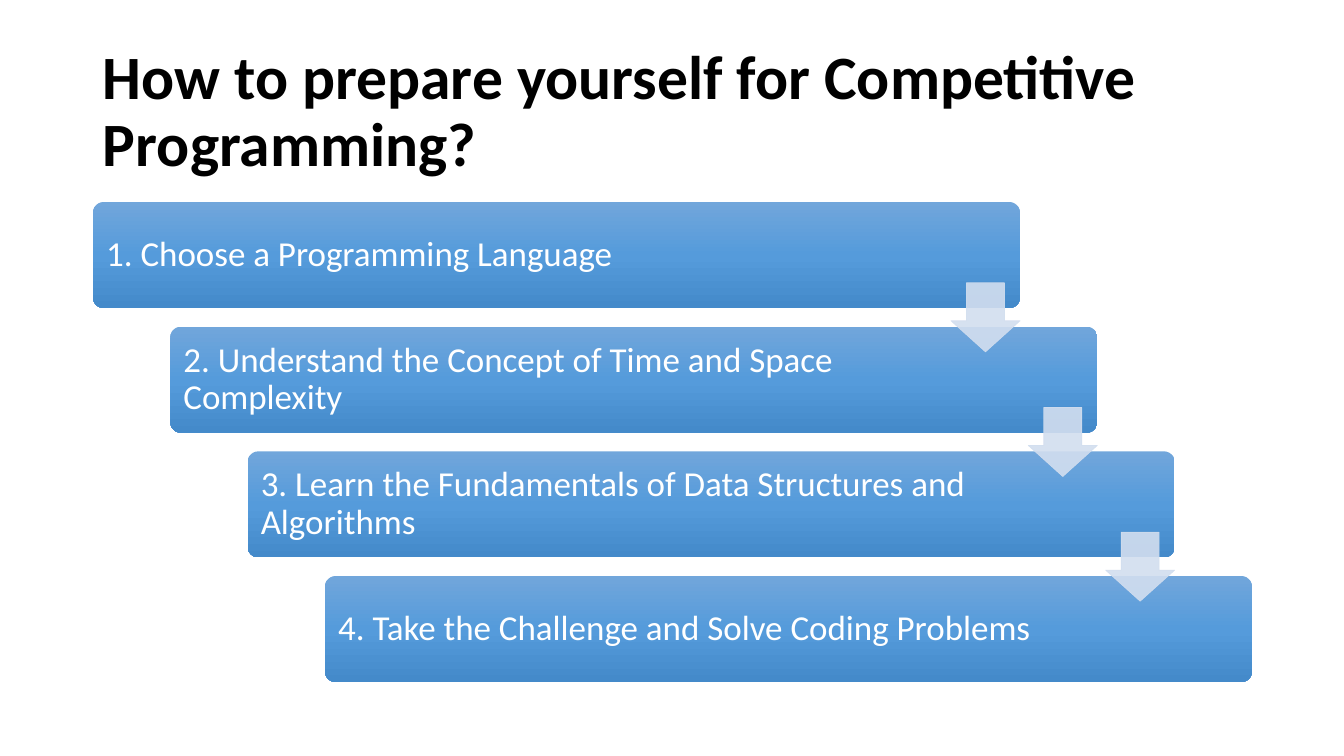
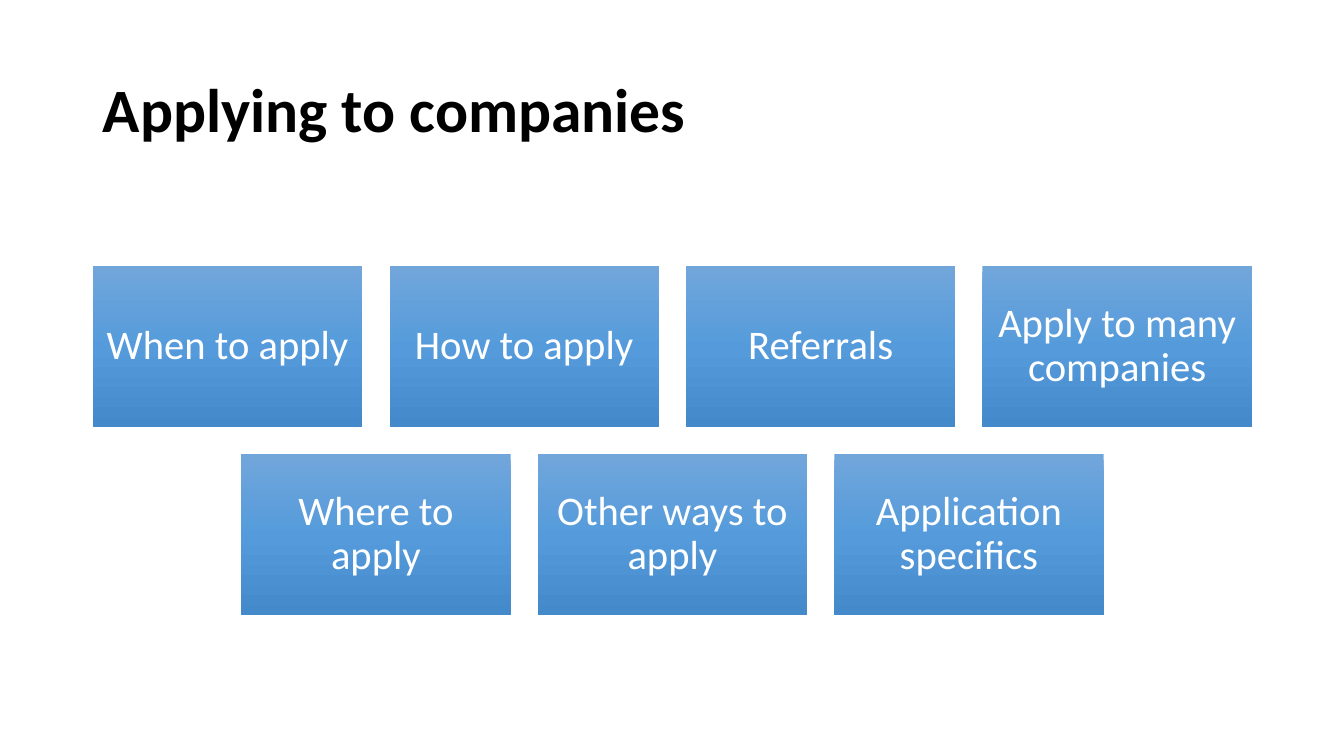
from copy import deepcopy

from lxml.etree import SubElement
from pptx import Presentation
from pptx.dml.color import RGBColor
from pptx.enum.shapes import MSO_SHAPE as Shape
from pptx.enum.text import MSO_ANCHOR as Anchor, MSO_AUTO_SIZE as AutoSize, PP_ALIGN as Align
from pptx.oxml.ns import qn
from pptx.util import Pt

# Content
STEPS_TITLE = "How to prepare yourself for Competitive Programming?"
STEPS = [
    "1. Choose a Programming Language",
    "2. Understand the Concept of Time and Space Complexity",
    "3. Learn the Fundamentals of Data Structures and Algorithms",
    "4. Take the Challenge and Solve Coding Problems",
]
TOPICS_TITLE = "Applying to companies"
TOPIC_ROWS = [
    ["When to apply", "How to apply", "Referrals", "Apply to many companies"],
    ["Where to apply", "Other ways to apply", "Application specifics"],
]

# Shared look, lengths in px
SLIDE_WIDTH, SLIDE_HEIGHT = 1344, 756
EMU_PER_PX = 12192000 / SLIDE_WIDTH
LEFT, WIDTH = 93, 1159
TITLE_BOX = (LEFT, 40, WIDTH, 146)
FONT = "Calibri"
BLACK, WHITE, PALE_BLUE = "000000", "FFFFFF", "D2DEEF"
BLUE_GRADIENT = [(0, "71A6DB"), (0.5, "559BDB"), (1, "448ACA")]


def px(length):
    return round(length * EMU_PER_PX)


def color(hex_string):
    return RGBColor.from_string(hex_string)


def write(shape, text, size, font_color=WHITE, bold=False, align=Align.LEFT, insets=(10, 5, 10, 5)):
    """Put formatted text in a shape; insets are left, top, right, bottom."""
    frame = shape.text_frame
    frame.word_wrap = True
    frame.auto_size = AutoSize.NONE
    frame.vertical_anchor = Anchor.MIDDLE
    frame.margin_left, frame.margin_top, frame.margin_right, frame.margin_bottom = map(px, insets)
    paragraph = frame.paragraphs[0]
    paragraph.alignment = align
    paragraph.line_spacing = 0.9
    run = paragraph.add_run()
    run.text = text
    font = run.font
    font.name, font.size, font.bold = FONT, Pt(size), bold
    font.color.rgb = color(font_color)


def add_titled_slide(presentation, title):
    slide = presentation.slides.add_slide(presentation.slide_layouts[5])
    shape = slide.shapes.title
    shape.left, shape.top, shape.width, shape.height = map(px, TITLE_BOX)
    write(shape, title, 44, font_color=BLACK, bold=True)
    return slide


def add_shape(slide, kind, box, adjustments=()):
    shape = slide.shapes.add_shape(kind, *map(px, box))
    shape.shadow.inherit = False
    for index, value in enumerate(adjustments):
        shape.adjustments[index] = value
    return shape


def add_blue_box(slide, kind, box, adjustments=()):
    shape = add_shape(slide, kind, box, adjustments)
    shape.line.fill.background()
    fill = shape.fill
    fill.gradient()
    fill.gradient_angle = 270
    # The default gradient has two stops; add a third
    stop_list = shape._element.spPr.find(".//" + qn("a:gsLst"))
    stop_list.append(deepcopy(stop_list[0]))
    for stop, (position, hex_string) in zip(fill.gradient_stops, BLUE_GRADIENT):
        stop.position = position
        stop.color.rgb = color(hex_string)
    return shape


def add_arrow(slide, box):
    arrow = add_shape(slide, Shape.DOWN_ARROW, box, (0.55, 0.45))
    arrow.fill.solid()
    arrow.fill.fore_color.rgb = color(PALE_BLUE)
    arrow.line.color.rgb = color(PALE_BLUE)
    arrow.line.width = Pt(0.5)
    # Slight transparency on fill and line
    for element in arrow._element.spPr.findall(".//" + qn("a:srgbClr")):
        SubElement(element, qn("a:alpha")).set("val", "90000")


def build_steps(presentation):
    slide = add_titled_slide(presentation, STEPS_TITLE)
    top, height = 202, 480
    box_width, box_height, arrow_size = 927, 106, 69
    shift_x = (WIDTH - box_width) / (len(STEPS) - 1)
    shift_y = (height - box_height) / (len(STEPS) - 1)
    positions = [(LEFT + i * shift_x, top + i * shift_y) for i in range(len(STEPS))]

    for (x, y), step in zip(positions, STEPS):
        box = add_blue_box(slide, Shape.ROUNDED_RECTANGLE, (x, y, box_width, box_height), (0.1,))
        write(box, step, 25, insets=(10, 10, 156, 10))
    # Arrows centred on the gaps, flush with the right edge of the box above
    for x, y in positions[:-1]:
        gap_middle = y + (box_height + shift_y) / 2
        add_arrow(slide, (x + box_width - arrow_size, gap_middle - arrow_size / 2,
                          arrow_size, arrow_size))


def build_topics(presentation):
    slide = add_titled_slide(presentation, TOPICS_TITLE)
    top, gap, box_height = 266, 27, 161
    columns = max(map(len, TOPIC_ROWS))
    box_width = (WIDTH - (columns - 1) * gap) / columns

    for row, topics in enumerate(TOPIC_ROWS):
        # Each row is centred in the content width
        row_left = LEFT + (columns - len(topics)) * (box_width + gap) / 2
        y = top + row * (box_height + gap)
        for column, topic in enumerate(topics):
            x = row_left + column * (box_width + gap)
            box = add_blue_box(slide, Shape.RECTANGLE, (x, y, box_width, box_height))
            write(box, topic, 29, align=Align.CENTER, insets=(12, 12, 12, 12))


def main():
    presentation = Presentation()
    presentation.slide_width = px(SLIDE_WIDTH)
    presentation.slide_height = px(SLIDE_HEIGHT)
    build_steps(presentation)
    build_topics(presentation)
    presentation.save("out.pptx")


if __name__ == "__main__":
    main()
